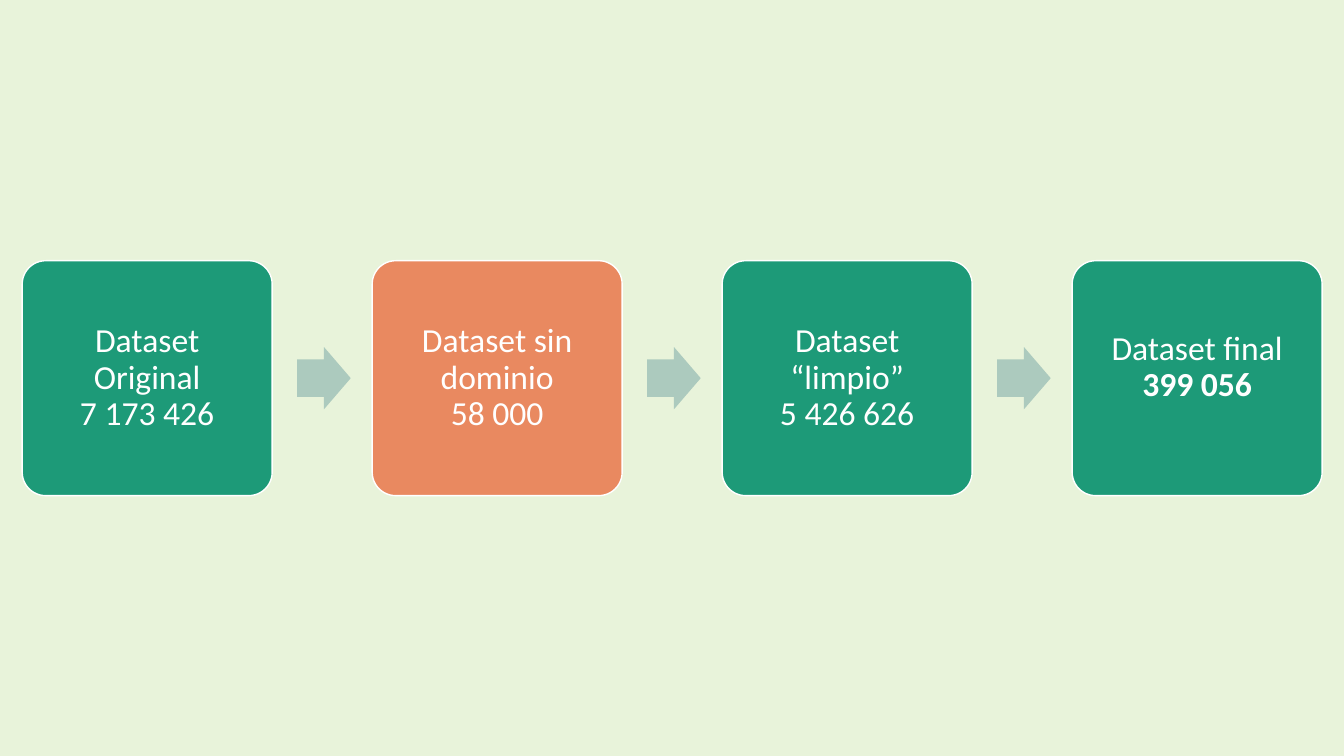
from pptx import Presentation
from pptx.dml.color import RGBColor
from pptx.enum.shapes import MSO_SHAPE
from pptx.enum.text import MSO_ANCHOR, PP_ALIGN
from pptx.util import Cm, Pt

BACKGROUND = RGBColor(0xE8, 0xF3, 0xDA)
GREEN = RGBColor(0x1D, 0x9A, 0x78)
ORANGE = RGBColor(0xE9, 0x89, 0x60)
ARROW = RGBColor(0xAC, 0xCA, 0xBE)
WHITE = RGBColor(0xFF, 0xFF, 0xFF)

# Content: label, record count, fill, bold count, extra bottom inset (cm)
STAGES = [
    ("Dataset Original", "7 173 426", GREEN, False, 0),
    ("Dataset sin dominio", "58 000", ORANGE, False, 0),
    ("Dataset “limpio”", "5 426 626", GREEN, False, 0),
    ("Dataset final", "399 056", GREEN, True, 0.55),
]

# Layout in centimetres
SLIDE_W, SLIDE_H = 33.87, 19.05
LEFT, PITCH, MIDDLE = 0.56, 8.82, 9.53
BOX_W, BOX_H = 6.3, 5.92
ARROW_W, ARROW_H, ARROW_GAP = 1.35, 1.57, 0.63
INSET = 0.25

prs = Presentation()
prs.slide_width, prs.slide_height = Cm(SLIDE_W), Cm(SLIDE_H)
s = prs.slides.add_slide(prs.slide_layouts[6])
s.background.fill.solid()
s.background.fill.fore_color.rgb = BACKGROUND


def add_centred(kind, x, w, h, color):
    """Add a filled shape centred on the flow's middle line."""
    sp = s.shapes.add_shape(kind, Cm(x), Cm(MIDDLE - h / 2), Cm(w), Cm(h))
    sp.shadow.inherit = False
    sp.fill.solid()
    sp.fill.fore_color.rgb = color
    return sp


for i, (label, count, color, bold, lift) in enumerate(STAGES):
    x = LEFT + i * PITCH

    # Stage box
    sp = add_centred(MSO_SHAPE.ROUNDED_RECTANGLE, x, BOX_W, BOX_H, color)
    sp.adjustments[0] = 0.1
    sp.line.color.rgb = WHITE
    sp.line.width = Pt(1)

    # Label and count
    tf = sp.text_frame
    tf.word_wrap = True
    tf.vertical_anchor = MSO_ANCHOR.MIDDLE
    tf.margin_left = tf.margin_right = tf.margin_top = Cm(INSET)
    tf.margin_bottom = Cm(INSET + lift)
    p = tf.paragraphs[0]
    p.text = f"{label}\v{count}"
    p.alignment = PP_ALIGN.CENTER
    p.line_spacing = 0.9
    for r in p.runs:
        r.font.name = "Calibri"
        r.font.size = Pt(24)
        r.font.color.rgb = WHITE
    p.runs[-1].font.bold = bold

    # Arrow to the next stage
    if i < len(STAGES) - 1:
        arrow = add_centred(MSO_SHAPE.RIGHT_ARROW, x + BOX_W + ARROW_GAP,
                            ARROW_W, ARROW_H, ARROW)
        arrow.adjustments[0] = 0.6
        arrow.adjustments[1] = 0.5
        arrow.line.fill.background()

prs.save("out.pptx")
